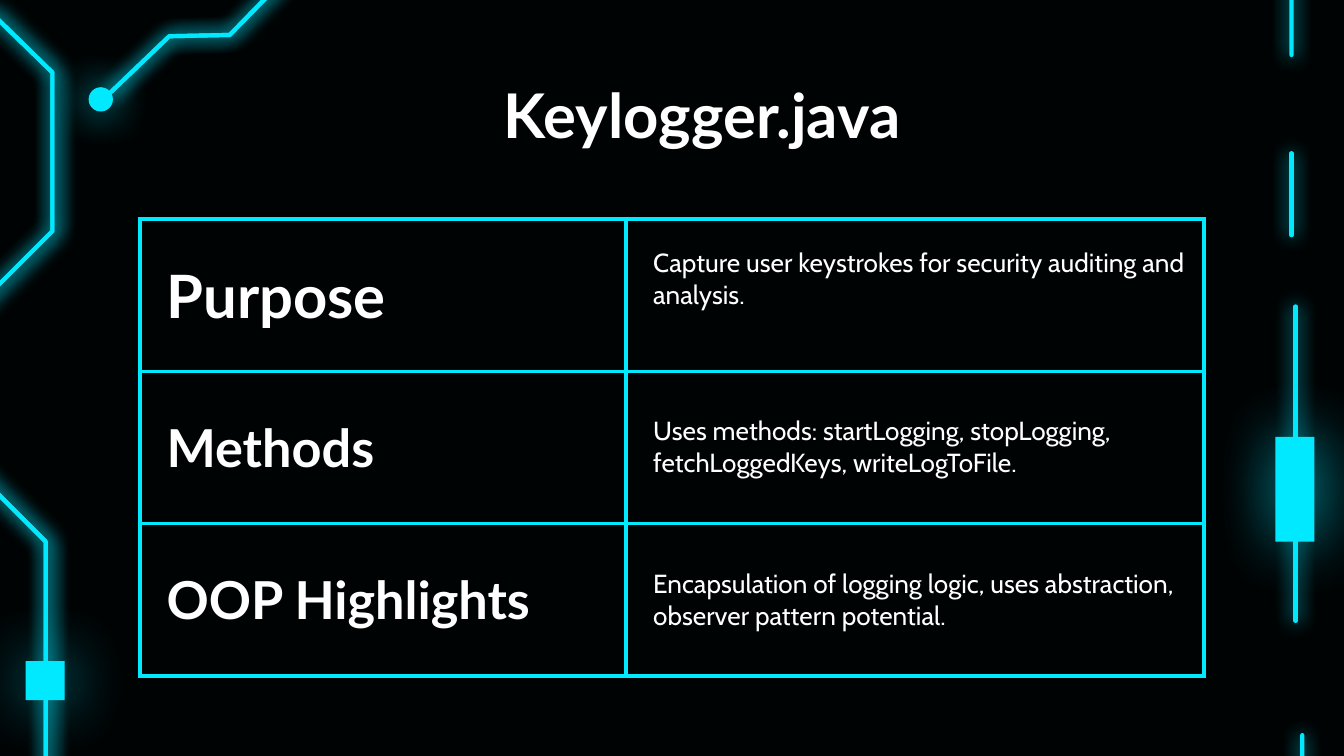
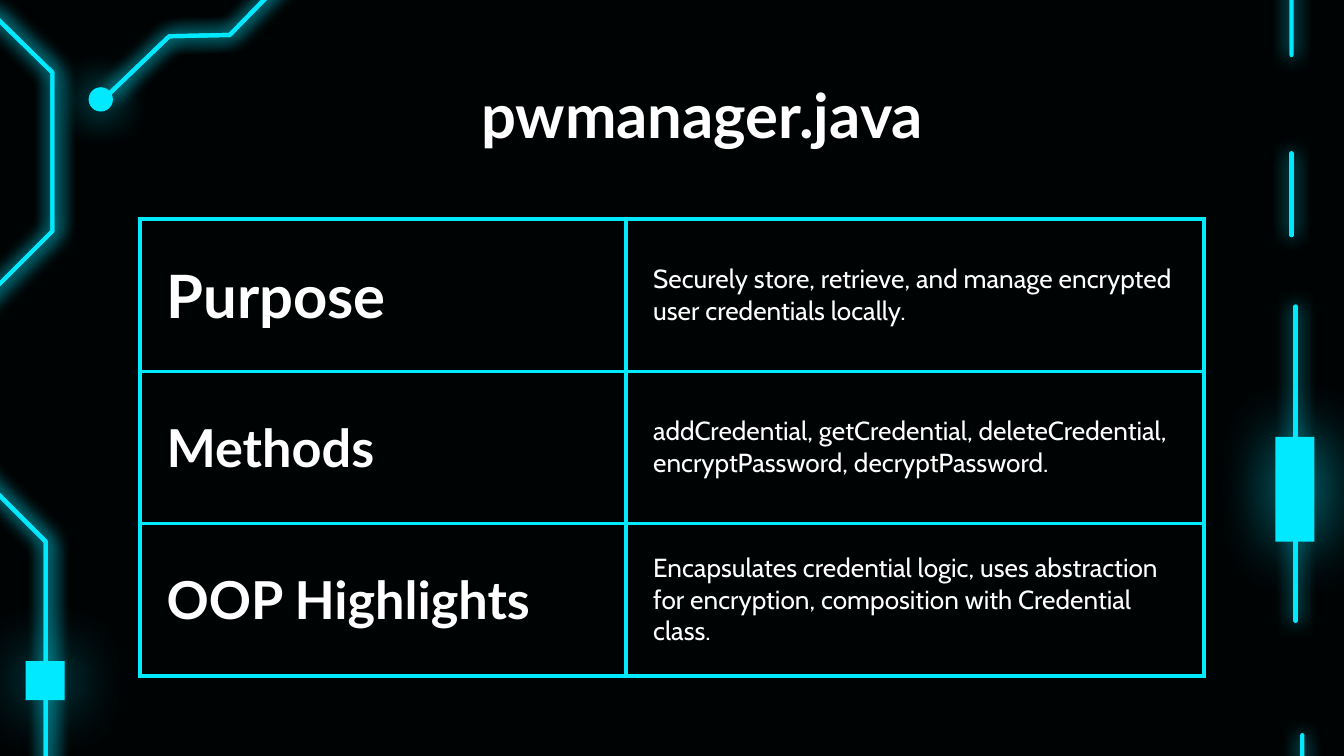
from lxml import etree
from pptx import Presentation
from pptx.dml.color import RGBColor
from pptx.enum.shapes import MSO_CONNECTOR, MSO_SHAPE
from pptx.enum.text import MSO_ANCHOR, PP_ALIGN
from pptx.oxml.ns import qn
from pptx.util import Inches, Pt

STRAIGHT = MSO_CONNECTOR.STRAIGHT
RECT, OVAL = MSO_SHAPE.RECTANGLE, MSO_SHAPE.OVAL
MIDDLE = MSO_ANCHOR.MIDDLE
LEFT, CENTER = PP_ALIGN.LEFT, PP_ALIGN.CENTER
CYAN, WHITE, NIGHT = "00E9FF", "FFFFFF", "000304"
rgb = RGBColor.from_string

# Circuit tracks: points and the offsets of their glows (one pass per glow)
TRACKS = [
    ([(9.61, 0.41), (9.61, -0.2), (9.97, -0.57), (9.97, -1.06), (9.55, -1.49),
      (9.55, -2.15), (10.51, -2.15), (10.84, -1.82), (11.81, -1.82),
      (12.13, -2.14), (13.42, -2.14), (13.42, 3.29), (13.11, 3.59),
      (13.11, 4.8), (13.41, 5.09), (13.41, 6.75)], [0]),
    ([(9.64, 4.62), (9.64, 2.28)], [0]),
    ([(9.61, 1.75), (9.61, 1.14)], [0]),
    ([(10.1, 11.01), (9.63, 10.54), (9.63, 8.34), (10.03, 7.95),
      (10.03, 7.15), (9.69, 6.82), (9.69, 5.47)], [0]),
    ([(-3.49, 2.79), (-3.49, 3.41), (-3.11, 3.79), (-3.11, 4.82),
      (-3.49, 5.2), (-3.49, 12.34), (-1.04, 12.34), (0.34, 10.99),
      (0.34, 4.03), (-0.24, 3.45), (-0.24, 2.35), (0.39, 1.72),
      (0.39, 0.54), (-0.05, 0.11), (-0.45, 0.11), (-0.69, 0.35),
      (-1.2, 0.35), (-1.48, 0.07), (-1.82, 0.07)], [1.5, 0]),
    ([(2.72, -1.24), (2.08, -0.61), (2.14, -0.18), (1.71, 0.26),
      (1.26, 0.27), (0.81, 0.7)], [1.5, 0]),
]

# Pads on the tracks: shape, box, line width, glow alpha, blur, offset
PADS = [
    (RECT, (9.49, 3.25, 0.29, 0.78), 0, 70, 36, 1.5),
    (RECT, (0.19, 4.92, 0.29, 0.29), 0, 70, 36, 1.5),
    (OVAL, (0.67, 0.66, 0.16, 0.16), 1.5, 100, 22.5, 0),
]

# Row labels with their sizes, and the text of each slide
# (title, details, bottom margin of the first detail)
ROWS = [("Purpose", 32), ("Methods", 28), ("OOP Highlights", 28)]
SLIDES = [
    ("Keylogger.java", [
        "Capture user keystrokes for security auditing and analysis.",
        "Uses methods: startLogging, stopLogging, fetchLoggedKeys, writeLogToFile.",
        "Encapsulation of logging logic, uses abstraction, observer pattern potential.",
    ], 0.34),
    ("pwmanager.java", [
        "Securely store, retrieve, and manage encrypted user credentials locally.",
        "addCredential, getCredential, deleteCredential, encryptPassword, decryptPassword.",
        "Encapsulates credential logic, uses abstraction for encryption, "
        "composition with Credential class.",
    ], 0.1),
]


def neon(shape, width, alpha, blur, dist):
    """Give a shape its cyan line and a cyan glow."""
    if width:
        shape.line.color.rgb = rgb(CYAN)
        shape.line.width = Pt(width)
        shape.line._get_or_add_ln().set("cap", "rnd")
    else:
        shape.line.fill.background()
    effects = etree.SubElement(shape._element.spPr, qn("a:effectLst"))
    glow = etree.SubElement(effects, qn("a:outerShdw"), blurRad=str(Pt(blur)),
                            dist=str(Pt(dist)), dir="0", algn="bl", rotWithShape="0")
    color = etree.SubElement(glow, qn("a:srgbClr"), val=CYAN)
    etree.SubElement(color, qn("a:alpha"), val=str(alpha * 1000))


def write(tf, text, align, **font):
    p = tf.paragraphs[0]
    p.alignment = align
    r = p.add_run()
    r.text = text
    r.font.color.rgb = rgb(WHITE)
    for name, value in font.items():
        setattr(r.font, name, value)


# 16:9 deck on a dark background
prs = Presentation()
prs.slide_width, prs.slide_height = Inches(10), Inches(10 * 9 / 16)
blank = prs.slide_layouts[6]
bg = prs.slide_master.background.fill
bg.solid()
bg.fore_color.rgb = rgb(NIGHT)

for title, details, first_bottom in SLIDES:
    s = prs.slides.add_slide(blank)

    # Glowing circuit
    for points, offsets in TRACKS:
        pts = [(Inches(x), Inches(y)) for x, y in points]
        for dist in offsets:
            if len(pts) == 2:
                track = s.shapes.add_connector(STRAIGHT, *pts[0], *pts[1])
            else:
                builder = s.shapes.build_freeform(*pts[0])
                builder.add_line_segments(pts[1:], close=False)
                track = builder.convert_to_shape()
                track.fill.background()
            neon(track, 2.25, 100, 10.1, dist)
    for kind, box, width, alpha, blur, dist in PADS:
        pad = s.shapes.add_shape(kind, *map(Inches, box))
        pad.fill.solid()
        pad.fill.fore_color.rgb = rgb(CYAN)
        neon(pad, width, alpha, blur, dist)

    # Title
    tb = s.shapes.add_textbox(Inches(0.78), Inches(0.59), Inches(8.89), Inches(0.52))
    tf = tb.text_frame
    tf.word_wrap = True
    tf.vertical_anchor = MIDDLE
    tf.margin_top = tf.margin_bottom = Inches(0.1)
    write(tf, title, CENTER, size=Pt(33), name="Lato", bold=True)

    # Table
    table = s.shapes.add_table(3, 2, Inches(1.04), Inches(1.63),
                               Inches(7.92), Inches(3.4)).table
    table.first_row = table.horz_banding = False
    table.columns[0].width, table.columns[1].width = Inches(3.62), Inches(4.3)
    for i, ((label, size), detail) in enumerate(zip(ROWS, details)):
        name_cell, detail_cell = table.cell(i, 0), table.cell(i, 1)
        write(name_cell.text_frame, label, LEFT, size=Pt(size), name="Lato", bold=True)
        write(detail_cell.text_frame, detail, LEFT, size=Pt(14), name="Cabin", bold=False)
        for cell in (name_cell, detail_cell):
            cell.vertical_anchor = MIDDLE
            cell.margin_left = Inches(0.2)
            cell.margin_right = cell.margin_top = cell.margin_bottom = Inches(0.1)
            cell.fill.background()
            tcPr = cell._tc.get_or_add_tcPr()
            for n, side in enumerate(("lnL", "lnR", "lnT", "lnB")):
                ln = etree.Element(qn("a:" + side), w=str(Pt(2.25)))
                fill = etree.SubElement(ln, qn("a:solidFill"))
                etree.SubElement(fill, qn("a:srgbClr"), val=CYAN)
                tcPr.insert(n, ln)
    table.cell(0, 1).margin_bottom = Inches(first_bottom)

prs.save("out.pptx")
